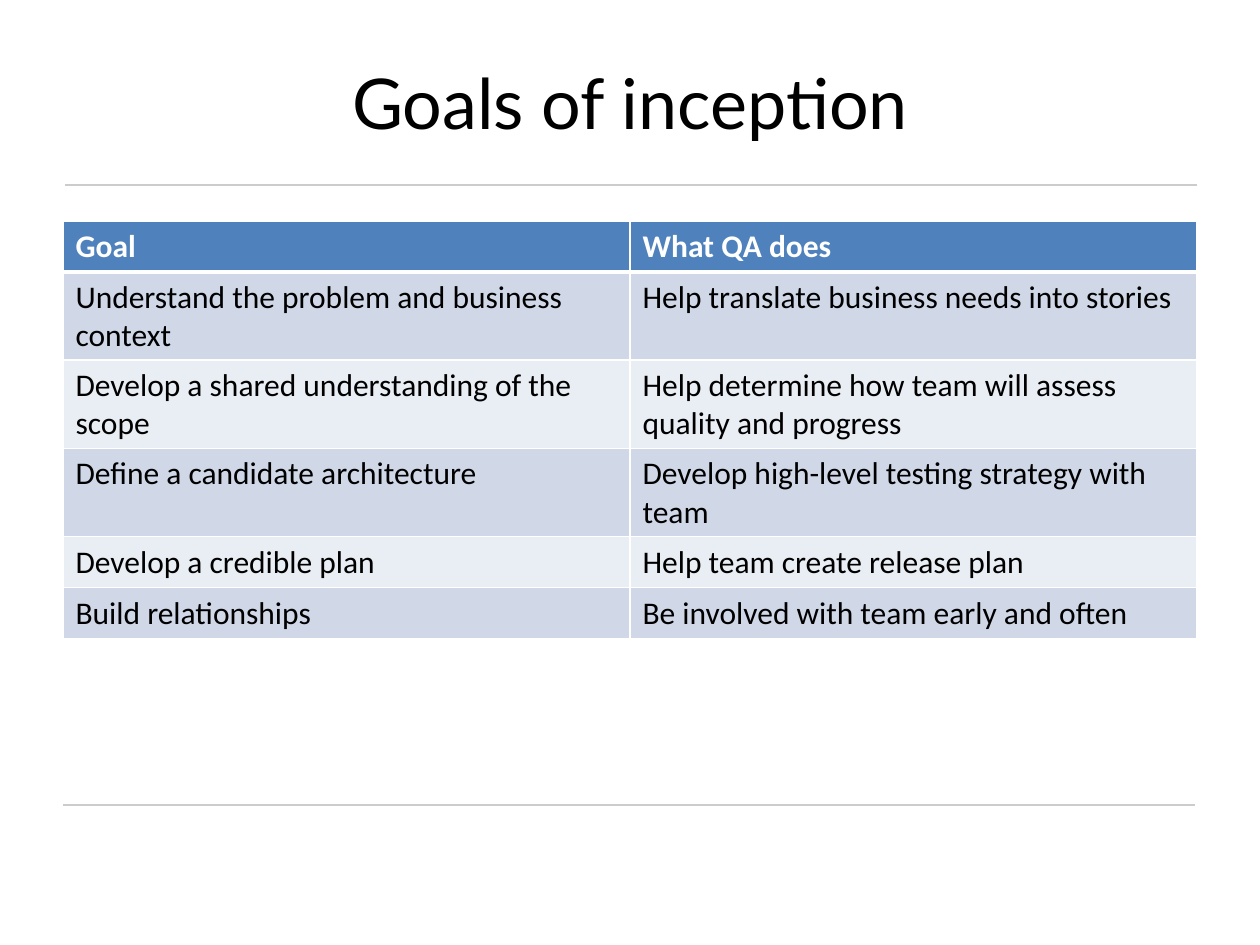
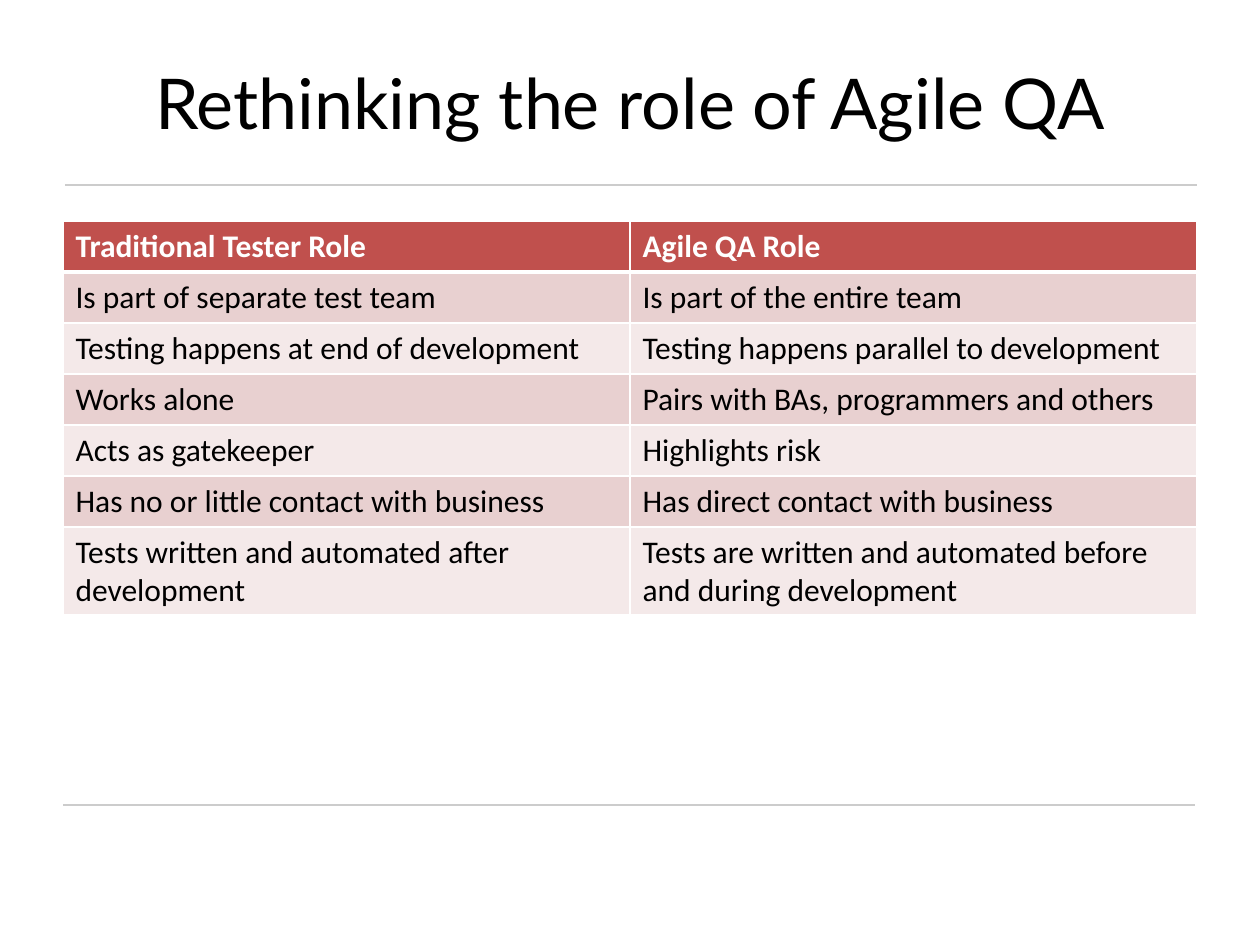
"""Build two slides that each show a titled two-column table between rules."""
from dataclasses import dataclass

from lxml import etree
from pptx import Presentation
from pptx.dml.color import RGBColor
from pptx.enum.shapes import MSO_CONNECTOR
from pptx.enum.text import MSO_ANCHOR, PP_ALIGN
from pptx.oxml.ns import qn
from pptx.util import Emu, Pt

STRAIGHT = MSO_CONNECTOR.STRAIGHT
MIDDLE = MSO_ANCHOR.MIDDLE
CENTER = PP_ALIGN.CENTER
PX_PER_INCH = 126
BLANK = 6


@dataclass(frozen=True)
class Theme:
    black: str = "000000"
    white: str = "FFFFFF"
    rule: str = "CCCCCC"
    blue: tuple = ("4F81BD", "D0D8E8", "E9EDF4")
    red: tuple = ("C0504D", "E8D0D0", "F4E9E9")
    title_font: str = "Lato"
    body_font: str = "Calibri"
    title_size: int = 40
    body_size: int = 18
    thin: int = 1
    thick: int = 3


THEME = Theme()
TITLE_FORMAT = {"name": THEME.title_font, "size": Pt(THEME.title_size), "bold": False}
HEAD_FORMAT = {"name": THEME.body_font, "size": Pt(THEME.body_size), "bold": True}
BODY_FORMAT = {**HEAD_FORMAT, "bold": False}

GOALS = [
    ("Goal", "What QA does"),
    ("Understand the problem and business context",
     "Help translate business needs into stories"),
    ("Develop a shared understanding of the scope",
     "Help determine how team will assess quality and progress"),
    ("Define a candidate architecture",
     "Develop high-level testing strategy with team"),
    ("Develop a credible plan", "Help team create release plan"),
    ("Build relationships", "Be involved with team early and often"),
]
ROLES = [
    ("Traditional Tester Role", "Agile QA Role"),
    ("Is part of separate test team", "Is part of the entire team"),
    ("Testing happens at end of development",
     "Testing happens parallel to development"),
    ("Works alone", "Pairs with BAs, programmers and others"),
    ("Acts as gatekeeper", "Highlights risk"),
    ("Has no or little contact with business", "Has direct contact with business"),
    ("Tests written and automated after development",
     "Tests are written and automated before and during development"),
]


def px(n):
    return Emu(round(n * 914400 / PX_PER_INCH))


def write(tf, text, color, fmt):
    p = tf.paragraphs[0]
    r = p.add_run()
    r.text = text
    for key, value in fmt.items():
        setattr(r.font, key, value)
    r.font.color.rgb = RGBColor.from_string(color)
    return p


def add_rule(slide, x, y, width):
    s = slide.shapes.add_connector(STRAIGHT, px(x), px(y), px(x + width), px(y))
    s.line.color.rgb = RGBColor.from_string(THEME.rule)
    s.line.width = Pt(THEME.thin)
    etree.SubElement(s._element.spPr, qn("a:effectLst"))


def add_title(slide, text):
    s = slide.shapes.add_textbox(px(63), px(38), px(1134), px(127))
    tf = s.text_frame
    tf.word_wrap = True
    tf.vertical_anchor = MIDDLE
    write(tf, text, THEME.black, TITLE_FORMAT).alignment = CENTER


def set_borders(cell, bottom):
    tc_pr = cell._tc.get_or_add_tcPr()
    for side in "LRTB":
        width = Pt(bottom if side == "B" else THEME.thin)
        ln = etree.SubElement(tc_pr, qn(f"a:ln{side}"), w=str(width))
        fill = etree.SubElement(ln, qn("a:solidFill"))
        etree.SubElement(fill, qn("a:srgbClr"), val=THEME.white)


def add_table(slide, rows, palette, height):
    head, *bands = palette
    s = slide.shapes.add_table(len(rows), len(rows[0]), px(63), px(221), px(1134), px(height))
    table = s.table
    table.horz_banding = False
    for i, texts in enumerate(rows):
        table.rows[i].height = px(51)
        is_head = i == 0
        fill = head if is_head else bands[(i - 1) % 2]
        color = THEME.white if is_head else THEME.black
        fmt = HEAD_FORMAT if is_head else BODY_FORMAT
        top = THEME.thick if is_head else THEME.thin
        for j, text in enumerate(texts):
            cell = table.cell(i, j)
            set_borders(cell, top)
            cell.fill.solid()
            cell.fill.fore_color.rgb = RGBColor.from_string(fill)
            write(cell.text_frame, text, color, fmt)
            if i == 1:
                cell._tc.tcPr.find(qn("a:lnT")).set("w", str(Pt(THEME.thick)))
    s.height = px(height)


def add_slide(prs, title, rows, palette, height):
    slide = prs.slides.add_slide(prs.slide_layouts[BLANK])
    add_rule(slide, 63, 805, 1132)
    add_rule(slide, 65, 185, 1132)
    add_title(slide, title)
    add_table(slide, rows, palette, height)


def main():
    prs = Presentation()
    prs.slide_width, prs.slide_height = px(1260), px(945)
    add_slide(prs, "Goals of inception", GOALS, THEME.blue, 418)
    add_slide(prs, "Rethinking the role of Agile QA", ROLES, THEME.red, 394)
    prs.save("out.pptx")


if __name__ == "__main__":
    main()
